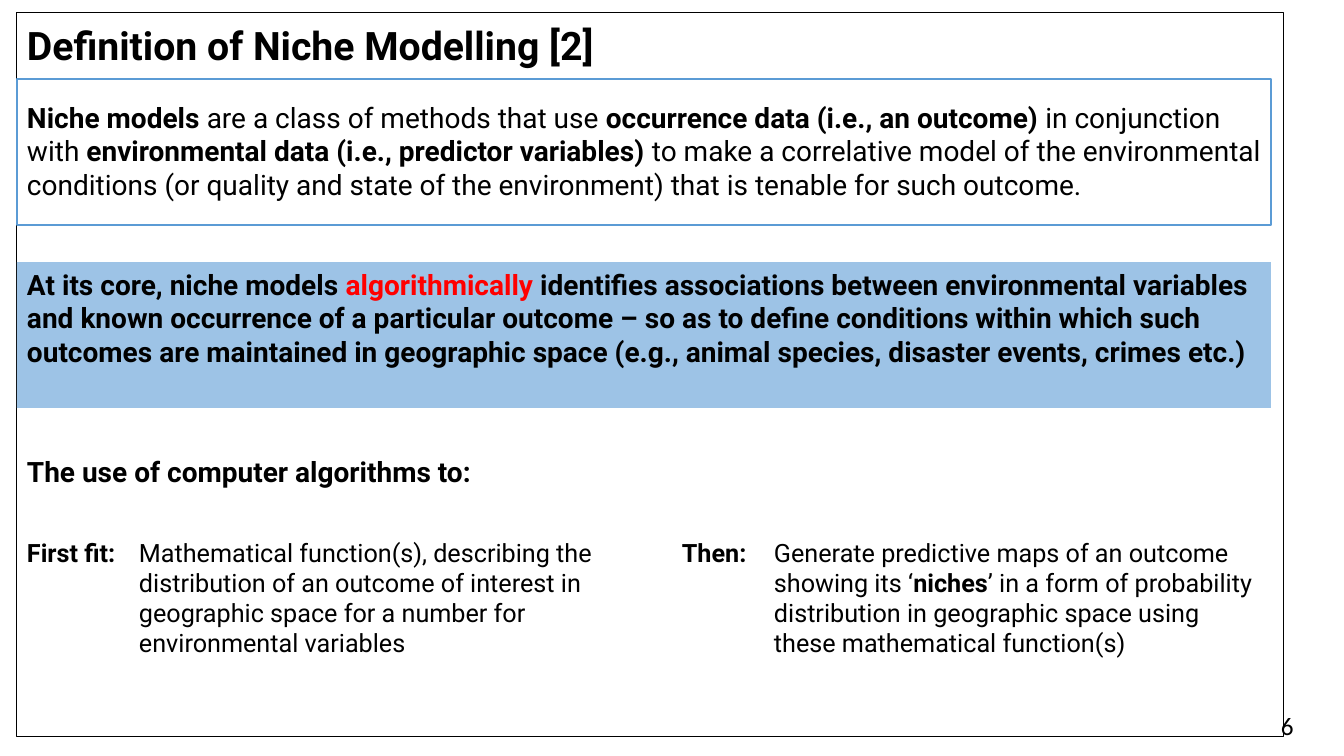
from pptx import Presentation
from pptx.dml.color import RGBColor
from pptx.enum.shapes import MSO_SHAPE
from pptx.enum.text import MSO_ANCHOR, MSO_AUTO_SIZE, PP_ALIGN
from pptx.util import Pt

EMU_PER_PX = 914400 / 100.8
COLORS = {"ink": "000000", "accent": "FF0000", "band": "9DC3E6", "rule": "5B9BD5"}

# Each span is (text, bold, colour name)
TITLE = [("Definition of Niche Modelling [2]", True, "ink")]
DEFINITION = [
    ("Niche models ", True, "ink"),
    ("are a class of methods that use ", False, "ink"),
    ("occurrence data (i.e., an outcome)", True, "ink"),
    (" in conjunction with ", False, "ink"),
    ("environmental data (i.e., predictor variables) ", True, "ink"),
    ("to make a correlative model of the environmental conditions (or quality and "
     "state of the environment) that is tenable for such outcome.", False, "ink"),
]
CORE = [
    ("At its core, niche models ", True, "ink"),
    ("algorithmically", True, "accent"),
    (" identifies associations between environmental variables and known occurrence "
     "of a particular outcome – so as to define conditions within which such outcomes "
     "are maintained in geographic space (e.g., animal species, disaster events, "
     "crimes etc.)", True, "ink"),
]
LEAD = [("The use of computer algorithms to:", True, "ink")]
# label, label left, text left, text width, text spans
STEPS = [
    ("First fit:", 17, 129, 489, [
        ("Mathematical function(s), describing the distribution of an outcome of "
         "interest in geographic space for a number for environmental variables",
         False, "ink")]),
    ("Then:", 672, 764, 507, [
        ("Generate predictive maps of an outcome showing its ‘", False, "ink"),
        ("niches", True, "ink"),
        ("’ in a form of probability distribution in geographic space using these "
         "mathematical function(s)", False, "ink")]),
]
PAGE_NUMBER = [("6", False, "ink")]

LEFT, PANEL_WIDTH, PANEL_HEIGHT = 17, 1254, 146
STEP_TOP, LABEL_WIDTH = 532, 110


def px(length):
    return round(length * EMU_PER_PX)


def color(name):
    return RGBColor.from_string(COLORS[name])


def write(shape, spans, size, font="Roboto", top=5, right=10):
    """Fill a shape with one top-left paragraph; top and right are insets."""
    frame = shape.text_frame
    frame.word_wrap = True
    frame.auto_size = MSO_AUTO_SIZE.NONE
    frame.vertical_anchor = MSO_ANCHOR.TOP
    frame.margin_left, frame.margin_right = px(10), px(right)
    frame.margin_top, frame.margin_bottom = px(top), px(5)
    para = frame.paragraphs[0]
    para.alignment = PP_ALIGN.LEFT
    para.font.size, para.font.name = Pt(size), font
    for text, bold, name in spans:
        span = para.add_run()
        span.text = text
        span.font.bold = bold
        span.font.color.rgb = color(name)


def add_panel(page, bounds, fill=None, line=None, weight=1):
    panel = page.shapes.add_shape(MSO_SHAPE.RECTANGLE, *map(px, bounds))
    panel.shadow.inherit = False
    if fill:
        panel.fill.solid()
        panel.fill.fore_color.rgb = color(fill)
    else:
        panel.fill.background()
    if line:
        panel.line.color.rgb = color(line)
        panel.line.width = Pt(weight)
    else:
        panel.line.fill.background()
    return panel


def add_text(page, bounds, spans, size, font="Roboto"):
    write(page.shapes.add_textbox(*map(px, bounds)), spans, size, font)


def main():
    deck = Presentation()
    deck.slide_width, deck.slide_height = px(1344), px(756)
    page = deck.slides.add_slide(deck.slide_layouts[5])

    title = page.shapes.title
    title.left, title.top, title.width, title.height = map(px, (LEFT, 13, PANEL_WIDTH, 66))
    write(title, TITLE, 28, top=8)

    add_panel(page, (LEFT, 13, 1267, 724), line="ink", weight=0.75)
    add_text(page, (1271, 705, 60, 32), PAGE_NUMBER, 18, "Calibri")

    core = add_panel(page, (LEFT, 262, PANEL_WIDTH, PANEL_HEIGHT), fill="band")
    write(core, CORE, 20)
    definition = add_panel(page, (LEFT, 79, PANEL_WIDTH, PANEL_HEIGHT), line="rule")
    write(definition, DEFINITION, 20, top=21, right=4)

    add_text(page, (LEFT, 449, 494, 44), LEAD, 20)
    for label, label_left, text_left, text_width, spans in STEPS:
        add_text(page, (label_left, STEP_TOP, LABEL_WIDTH, 40), [(label, True, "ink")], 18)
        add_text(page, (text_left, STEP_TOP, text_width, 132), spans, 18)

    deck.save("out.pptx")


if __name__ == "__main__":
    main()
